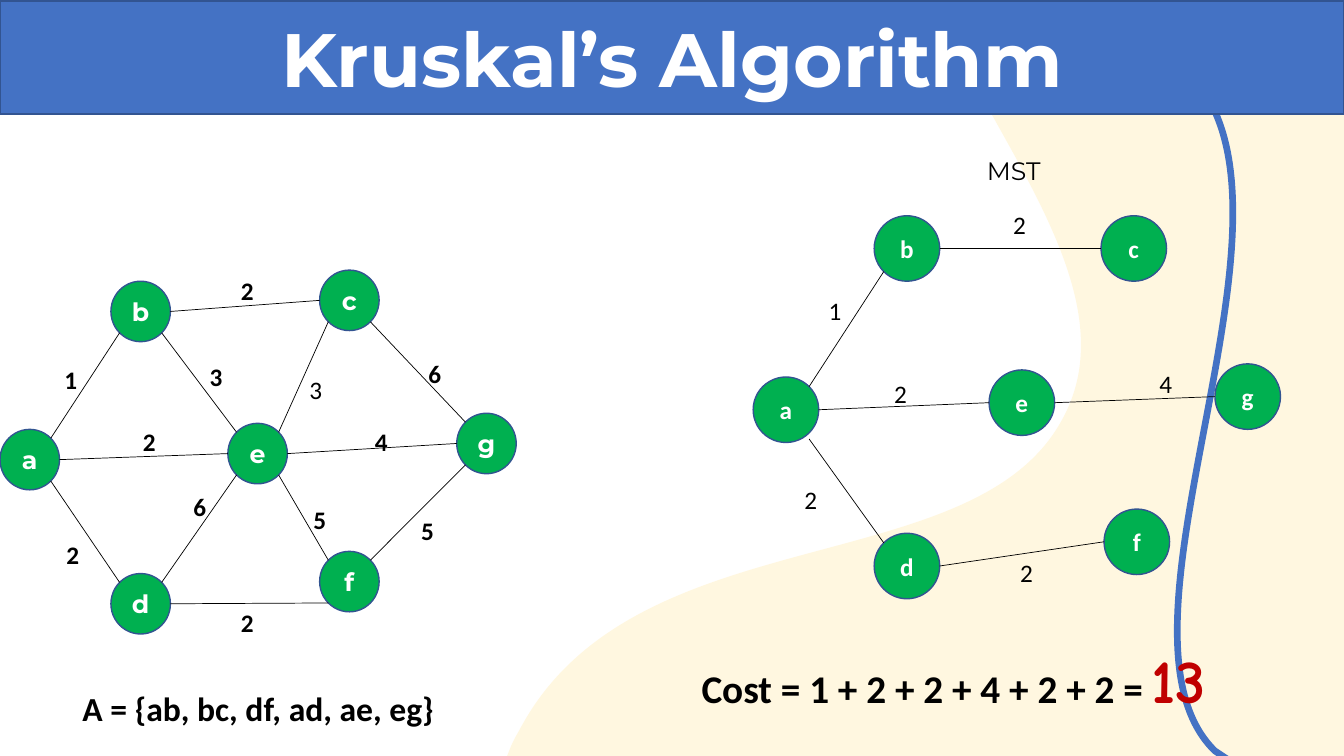
from lxml import etree
from pptx import Presentation
from pptx.dml.color import RGBColor
from pptx.enum.shapes import MSO_CONNECTOR as Connector, MSO_SHAPE as Shape
from pptx.enum.text import MSO_ANCHOR as Anchor, MSO_AUTO_SIZE as AutoSize, PP_ALIGN as Align
from pptx.oxml.ns import qn
from pptx.util import Inches, Pt

COLORS = {"blue": "4472C4", "outline": "325491", "green": "00B050", "sand": "FFD966",
          "black": "000000", "white": "FFFFFF", "red": "C00000"}

# Unit directions from a node's centre to the places where edges attach
DIAGONAL = 0.5 ** 0.5
SITES = {"E": (1, 0), "W": (-1, 0),
         "NE": (DIAGONAL, -DIAGONAL), "NW": (-DIAGONAL, -DIAGONAL),
         "SE": (DIAGONAL, DIAGONAL), "SW": (-DIAGONAL, DIAGONAL)}

# Outlines: a start point, then line ends (2 numbers) or cubic curves (6 numbers)
SAND_AREA = [(9.27, 0), (13.33, 0), (13.33, 7.5), (5.03, 7.5), (5.07, 7.4),
             (5.11, 7.31, 5.15, 7.25, 5.17, 7.21),
             (6.31, 5.12, 9.62, 5.78, 10.52, 4.19),
             (11.23, 2.96, 9.88, 1.46, 9.32, 0.12)]
BLUE_CURVE = [(12.17, 7.53), (12.14, 7.51), (12.05, 7.45),
              (10.84, 6.27, 13.07, 2.2, 11.85, 0.79),
              (10.78, -0.47, 8.2, 1.8, 6.83, 0.12),
              (6.8, 0.09, 6.76, 0.04, 6.71, -0.03)]

# Nodes: left and top. Edges: node, site, node, site, drop of the start.
# Weights: text, left, top, width, bold.
TREE = {
    "size": (0.65, 0.65), "font": "Calibri",
    "nodes": {"a": (7.47, 3.74), "b": (8.67, 2.14), "d": (8.67, 5.29), "c": (10.92, 2.14),
              "e": (9.81, 3.67), "f": (10.95, 5.05), "g": (12.05, 3.61)},
    "edges": [("b", "SW", "a", "NE", 0), ("b", "E", "c", "W", 0), ("d", "E", "f", "W", 0),
              ("a", "SE", "d", "NW", 0.06), ("a", "E", "e", "W", 0), ("e", "E", "g", "W", 0)],
    "weights": [("1", 8.12, 2.88, 0.54, False), ("2", 9.95, 2.03, 0.3, False),
                ("2", 10.02, 5.48, 0.51, False), ("2", 7.88, 4.76, 0.51, False),
                ("2", 8.77, 3.7, 0.51, False), ("4", 11.4, 3.6, 0.42, False)],
}
GRAPH = {
    "size": (0.59, 0.6), "font": "Montserrat",
    "nodes": {"a": (0, 4.26), "b": (1.1, 2.79), "d": (1.1, 5.69), "c": (3.17, 2.68),
              "e": (2.26, 4.2), "f": (3.17, 5.47), "g": (4.53, 4.1)},
    "edges": [("a", "NE", "b", "SW", 0), ("a", "SE", "d", "NW", 0), ("b", "E", "c", "W", 0),
              ("d", "E", "f", "SW", 0), ("e", "NE", "c", "SW", 0), ("d", "NE", "e", "SW", 0),
              ("a", "E", "e", "W", 0), ("c", "SE", "g", "NW", 0), ("f", "NE", "g", "SW", 0),
              ("e", "SE", "f", "NW", 0), ("e", "E", "g", "W", 0), ("b", "SE", "e", "NW", 0)],
    "weights": [("1", 0.54, 3.57, 0.36, True), ("2", 0.56, 5.3, 0.36, True),
                ("2", 2.29, 5.98, 0.36, True), ("2", 1.32, 4.18, 0.36, True),
                ("2", 2.29, 2.68, 0.36, True), ("3", 1.98, 3.54, 0.36, True),
                ("3", 2.97, 3.66, 0.36, False), ("4", 3.62, 4.18, 0.36, True),
                ("5", 4.08, 5.06, 0.36, True), ("5", 3.01, 4.95, 0.36, True),
                ("6", 1.82, 4.83, 0.36, True), ("6", 4.15, 3.51, 0.36, True)],
}


def rgb(name):
    return RGBColor.from_string(COLORS[name])


def add_run(paragraph, text, size, font="Calibri", color="black", bold=False):
    run = paragraph.add_run()
    run.text = text
    for attribute, value in {"size": Pt(size), "name": font, "bold": bold}.items():
        setattr(run.font, attribute, value)
    run.font.color.rgb = rgb(color)


def add_label(shapes, box, *runs):
    """Add a text box; each run is a (text, format values) pair."""
    frame = shapes.add_textbox(*map(Inches, box)).text_frame
    frame.word_wrap = True
    frame.auto_size = AutoSize.SHAPE_TO_FIT_TEXT
    for text, values in runs:
        add_run(frame.paragraphs[0], text, **values)


def add_filled(shapes, kind, box, fill, text, **values):
    shape = shapes.add_shape(kind, *map(Inches, box))
    shape.shadow.inherit = False
    shape.fill.solid()
    shape.fill.fore_color.rgb = rgb(fill)
    shape.line.color.rgb = rgb("outline")
    shape.line.width = Pt(1)
    shape.text_frame.vertical_anchor = Anchor.MIDDLE
    paragraph = shape.text_frame.paragraphs[0]
    paragraph.alignment = Align.CENTER
    add_run(paragraph, text, color="white", bold=True, **values)


def add_edge(shapes, start, end):
    edge = shapes.add_connector(Connector.STRAIGHT, *map(Inches, start + end))
    edge.line.color.rgb = rgb("black")
    edge.line.width = Pt(0.5)
    etree.SubElement(edge.element.spPr, qn("a:effectLst"))


def add_network(shapes, network):
    """Add the nodes, edges and weights of one graph."""
    width, height = network["size"]
    nodes = network["nodes"]

    def site(name, direction, drop=0):
        left, top = nodes[name]
        x, y = SITES[direction]
        return left + width / 2 * (1 + x), top + height / 2 * (1 + y) + drop

    for name, corner in nodes.items():
        add_filled(shapes, Shape.OVAL, corner + network["size"], "green", name,
                   size=18, font=network["font"])
    for first, leaving, second, arriving, drop in network["edges"]:
        add_edge(shapes, site(first, leaving, drop), site(second, arriving))
    for text, left, top, box_width, bold in network["weights"]:
        add_label(shapes, (left, top, box_width, 0.4), (text, {"size": 18, "bold": bold}))


def add_outline(shapes, segments, close):
    """Add a freeform through the segment ends, then bend the cubic segments."""
    points = [(Inches(segment[-2]), Inches(segment[-1])) for segment in segments]
    builder = shapes.build_freeform(*points[0])
    builder.add_line_segments(points[1:], close=close)
    shape = builder.convert_to_shape()
    shape.shadow.inherit = False
    lines = list(shape.element.spPr.iter(qn("a:lnTo")))
    for line, segment in zip(lines, segments[1:]):
        if len(segment) == 6:
            curve = etree.Element(qn("a:cubicBezTo"))
            for x, y in zip(segment[::2], segment[1::2]):
                etree.SubElement(curve, qn("a:pt"), x=str(Inches(x) - shape.left),
                                 y=str(Inches(y) - shape.top))
            line.getparent().replace(line, curve)
    return shape


def add_backdrop(shapes):
    area = add_outline(shapes, SAND_AREA, close=True)
    area.line.fill.background()
    area.fill.solid()
    area.fill.fore_color.rgb = rgb("sand")
    color = area.element.spPr.find(qn("a:solidFill")).find(qn("a:srgbClr"))
    etree.SubElement(color, qn("a:alpha"), val="20000")

    curve = add_outline(shapes, BLUE_CURVE, close=False)
    curve.fill.background()
    curve.line.color.rgb = rgb("blue")
    curve.line.width = Pt(4.75)


def main():
    presentation = Presentation()
    presentation.slide_width, presentation.slide_height = Inches(13.33), Inches(7.5)
    slide = presentation.slides.add_slide(presentation.slide_layouts[6])
    shapes = slide.shapes

    add_backdrop(shapes)

    # Minimum spanning tree
    add_network(shapes, TREE)
    add_label(shapes, (9.69, 1.49, 1.13, 0.4), ("MST", {"size": 18, "font": "Montserrat"}))

    # Title banner
    add_filled(shapes, Shape.RECTANGLE, (0, 0.01, 13.33, 1.12), "blue", "Kruskal’s Algorithm",
               size=54, font="Montserrat")

    # Total cost
    add_label(shapes, (6.86, 6.32, 6.23, 0.84),
              ("Cost = 1 + 2 + 2 + 4 + 2 + 2 = ", {"size": 28, "bold": True}),
              ("13", {"size": 44, "font": "Comic Neue", "color": "red", "bold": True}))

    # Full graph and its chosen edges
    add_network(shapes.add_group_shape().shapes, GRAPH)
    add_label(shapes, (0.72, 6.78, 4.74, 0.5),
              ("A = {ab, bc, df, ad, ae, eg}", {"size": 24, "bold": True}))

    presentation.save("out.pptx")


if __name__ == "__main__":
    main()
